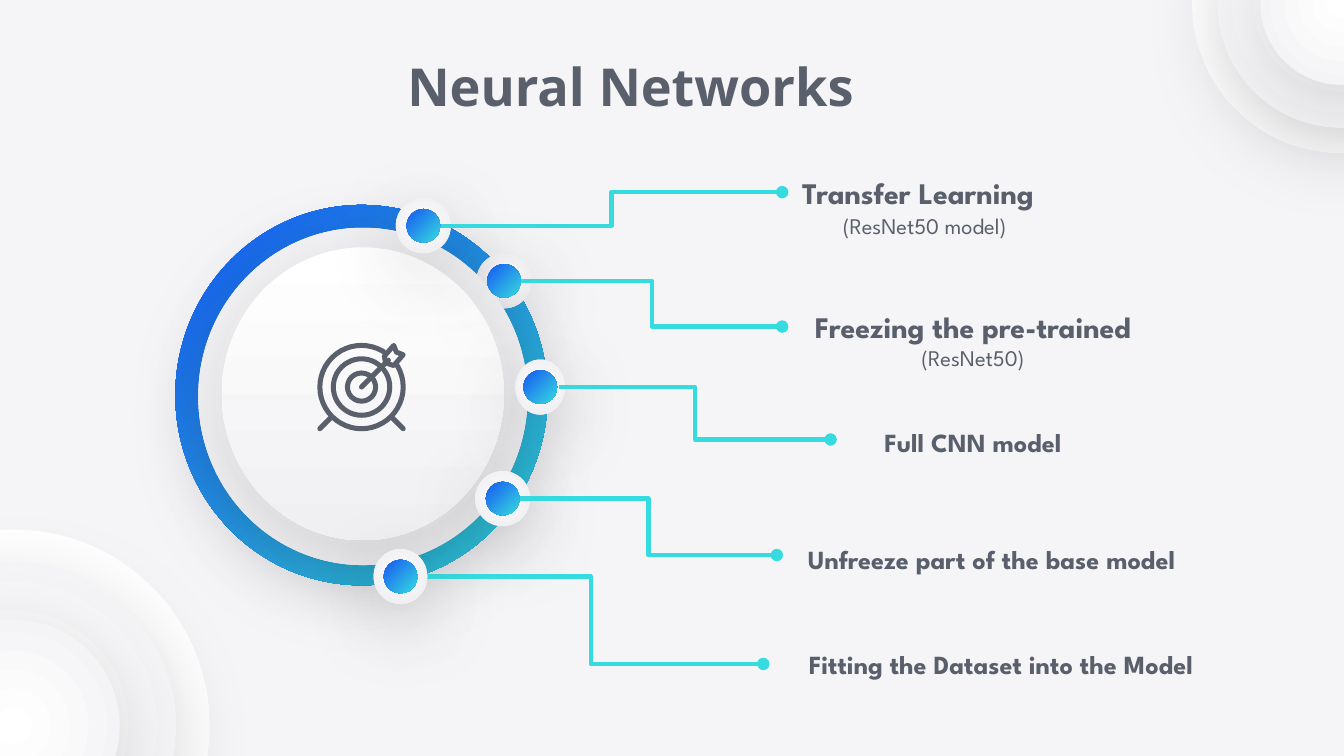
"""Build the Neural Networks slide: a target ring with five labelled steps."""
from lxml import etree
from pptx import Presentation
from pptx.dml import color
from pptx.enum import shapes, text
from pptx.oxml import ns
from pptx.util import Inches, Pt

COLORS = {
    "background": "F5F5F7", "white": "FFFFFF", "gray": "F0F0F3",
    "blue": "1658F1", "cyan": "36DBE0", "ink": "595F6B", "shadow": "000000",
}
TITLE = "Neural Networks"
HEADING_FONT, LABEL_FONT = "Noto Sans", "League Spartan"

# center x, center y, diameters
CORNERS = [(0.1, 5.4, (2.92, 2.42, 1.58)), (9.98, 0.03, (2.22, 1.84, 1.2))]
RING = (2.69, 2.94, 2.77, 2.83)
DISCS = [((2.7, 2.95, 2.45, 2.51), "radial"), ((2.7, 2.93, 2.1, 2.18), 90)]
HALO, DOT = 0.41, 0.25
UNDER_DISCS, UNDER_LINE, OVER_LINE = range(3)

# node center, halo width, halo layer, connector start and end
STEPS = [
    ((3.15, 1.68), 0.41, UNDER_LINE, (3.28, 1.68), (5.82, 1.43)),
    ((3.75, 2.09), 0.41, UNDER_DISCS, (3.88, 2.09), (5.82, 2.43)),
    ((4.02, 2.88), 0.37, UNDER_LINE, (4.16, 2.88), (6.18, 3.27)),
    ((3.74, 3.71), 0.41, UNDER_LINE, (3.87, 3.71), (5.78, 4.13)),
    ((2.98, 4.29), 0.4, OVER_LINE, (3.11, 4.29), (5.68, 4.94)),
]
# center x, center y, width, height, lines of (text, size, bold)
LABELS = [
    (6.83, 1.43, 2.65, 0.41, [("Transfer Learning", 16, True)]),
    (6.88, 1.68, 2.65, 0.5, [("(ResNet50 model)", 12, False)]),
    (7.24, 2.53, 2.77, 0.6, [("Freezing the pre-trained", 16, True), ("(ResNet50)", 12, False)]),
    (7.24, 3.29, 2.17, 0.41, [("Full CNN model", 14, True)]),
    (7.38, 4.16, 3.64, 0.41, [("Unfreeze part of the base model", 14, True)]),
    (7.45, 4.94, 3.54, 0.41, [("Fitting the Dataset into the Model", 14, True)]),
]
TARGET = (2.69, 2.88)
# diameter, half of the opening toward the upper right in degrees
TARGET_RINGS = [(0.62, 13), (0.42, 6), (0.21, 8)]
TARGET_LINES = [
    ((2.69, 2.88), (2.89, 2.68)), ((2.46, 3.11), (2.38, 3.19)), ((2.92, 3.11), (3.0, 3.19)),
]
FLETCHING = [(2.86, 2.65), (2.93, 2.57), (2.95, 2.62), (3.0, 2.64), (2.93, 2.72), (2.87, 2.7)]
STROKE = 2.7


def rgb(name):
    return color.RGBColor.from_string(COLORS[name])


def centered(x, y, width, height):
    return [Inches(value) for value in (x - width / 2, y - height / 2, width, height)]


def add_child(parent, tag, **attributes):
    return etree.SubElement(parent, ns.qn(tag), **attributes)


def add_shadow(shape):
    effects = shape._element.spPr.find(ns.qn("a:effectLst"))
    shadow = add_child(effects, "a:outerShdw", blurRad=str(Pt(45)), dist=str(Pt(11.25)),
                       dir=str(85 * 60000), algn="bl", rotWithShape="0")
    tint = add_child(shadow, "a:srgbClr", val=COLORS["shadow"])
    add_child(tint, "a:alpha", val="15000")


def add_ellipse(slide, box, stops=("white", "gray"), gradient="radial", shadow=True):
    shape = slide.shapes.add_shape(shapes.MSO_SHAPE.OVAL, *centered(*box))
    shape.line.fill.background()
    shape.shadow.inherit = False
    if gradient is None:
        shape.fill.solid()
        shape.fill.fore_color.rgb = rgb(stops[0])
    else:
        shape.fill.gradient()
        for stop, name in zip(shape.fill.gradient_stops, stops):
            stop.color.rgb = rgb(name)
        if gradient == "radial":
            fill = shape._element.spPr.find(ns.qn("a:gradFill"))
            fill.remove(fill.find(ns.qn("a:lin")))
            circle = add_child(fill, "a:path", path="circle")
            add_child(circle, "a:fillToRect", l="50000", t="50000", r="50000", b="50000")
        else:
            shape.fill.gradient_angle = 360 - gradient
    if shadow:
        add_shadow(shape)


def set_stroke(shape, name, width):
    shape.line.color.rgb = rgb(name)
    shape.line.width = Pt(width)
    return shape._element.spPr.find(ns.qn("a:ln"))


def add_line(slide, kind, start, end, name, width):
    points = [Inches(value) for value in (*start, *end)]
    connector = slide.shapes.add_connector(kind, *points)
    stroke = set_stroke(connector, name, width)
    add_child(connector._element.spPr, "a:effectLst")
    return stroke


def write(shape, content, size=14, bold=False, font=LABEL_FONT, first=True):
    frame = shape.text_frame
    frame.word_wrap = True
    frame.auto_size = text.MSO_AUTO_SIZE.NONE
    frame.vertical_anchor = text.MSO_ANCHOR.MIDDLE
    frame.margin_left = frame.margin_right = frame.margin_top = frame.margin_bottom = Inches(0.1)
    paragraph = frame.paragraphs[0] if first else frame.add_paragraph()
    paragraph.alignment = text.PP_ALIGN.CENTER
    run = paragraph.add_run()
    run.text = content
    run.font.name, run.font.size, run.font.bold = font, Pt(size), bold
    run.font.color.rgb = rgb("ink")


def add_target(slide):
    for diameter, opening in TARGET_RINGS:
        arc = slide.shapes.add_shape(shapes.MSO_SHAPE.ARC, *centered(*TARGET, diameter, diameter))
        arc.adjustments[0] = (315 + opening) * 0.6
        arc.adjustments[1] = (315 - opening) * 0.6
        arc.fill.background()
        arc.shadow.inherit = False
        set_stroke(arc, "ink", STROKE).set("cap", "rnd")
    for start, end in TARGET_LINES:
        add_line(slide, shapes.MSO_CONNECTOR.STRAIGHT, start, end, "ink", STROKE).set("cap", "rnd")
    corners = [(Inches(x), Inches(y)) for x, y in FLETCHING]
    builder = slide.shapes.build_freeform(*corners[0])
    builder.add_line_segments(corners[1:], close=True)
    fletching = builder.convert_to_shape()
    fletching.fill.background()
    fletching.shadow.inherit = False
    add_child(set_stroke(fletching, "ink", STROKE), "a:round")


def main():
    presentation = Presentation()
    presentation.slide_width = Inches(10)
    presentation.slide_height = presentation.slide_width * 9 // 16
    slide = presentation.slides.add_slide(presentation.slide_layouts[5])
    slide.background.fill.solid()
    slide.background.fill.fore_color.rgb = rgb("background")

    for x, y, diameters in CORNERS:
        for index, diameter in enumerate(diameters):
            add_ellipse(slide, (x, y, diameter, diameter),
                        gradient="radial" if index else None, shadow=index > 0)

    add_ellipse(slide, RING, ("blue", "cyan"), 45, shadow=False)
    for center, width, layer, _, _ in STEPS:
        if layer == UNDER_DISCS:
            add_ellipse(slide, (*center, width, HALO))
    for box, gradient in DISCS:
        add_ellipse(slide, box, gradient=gradient)
    for center, width, layer, start, end in STEPS:
        if layer == UNDER_LINE:
            add_ellipse(slide, (*center, width, HALO))
        stroke = add_line(slide, shapes.MSO_CONNECTOR.ELBOW, start, end, "cyan", 2.25)
        add_child(stroke, "a:tailEnd", type="oval")
        if layer == OVER_LINE:
            add_ellipse(slide, (*center, width, HALO))
        add_ellipse(slide, (*center, DOT, DOT), ("blue", "cyan"), 45)
    add_target(slide)

    title = slide.shapes.title
    title.left, title.top, title.width, title.height = centered(4.69, 0.64, 8.44, 0.41)
    write(title, TITLE, size=28, bold=True, font=HEADING_FONT)
    for x, y, width, height, lines in LABELS:
        label = slide.shapes.add_textbox(*centered(x, y, width, height))
        for index, (content, size, bold) in enumerate(lines):
            write(label, content, size=size, bold=bold, first=index == 0)
    presentation.save("out.pptx")


if __name__ == "__main__":
    main()
